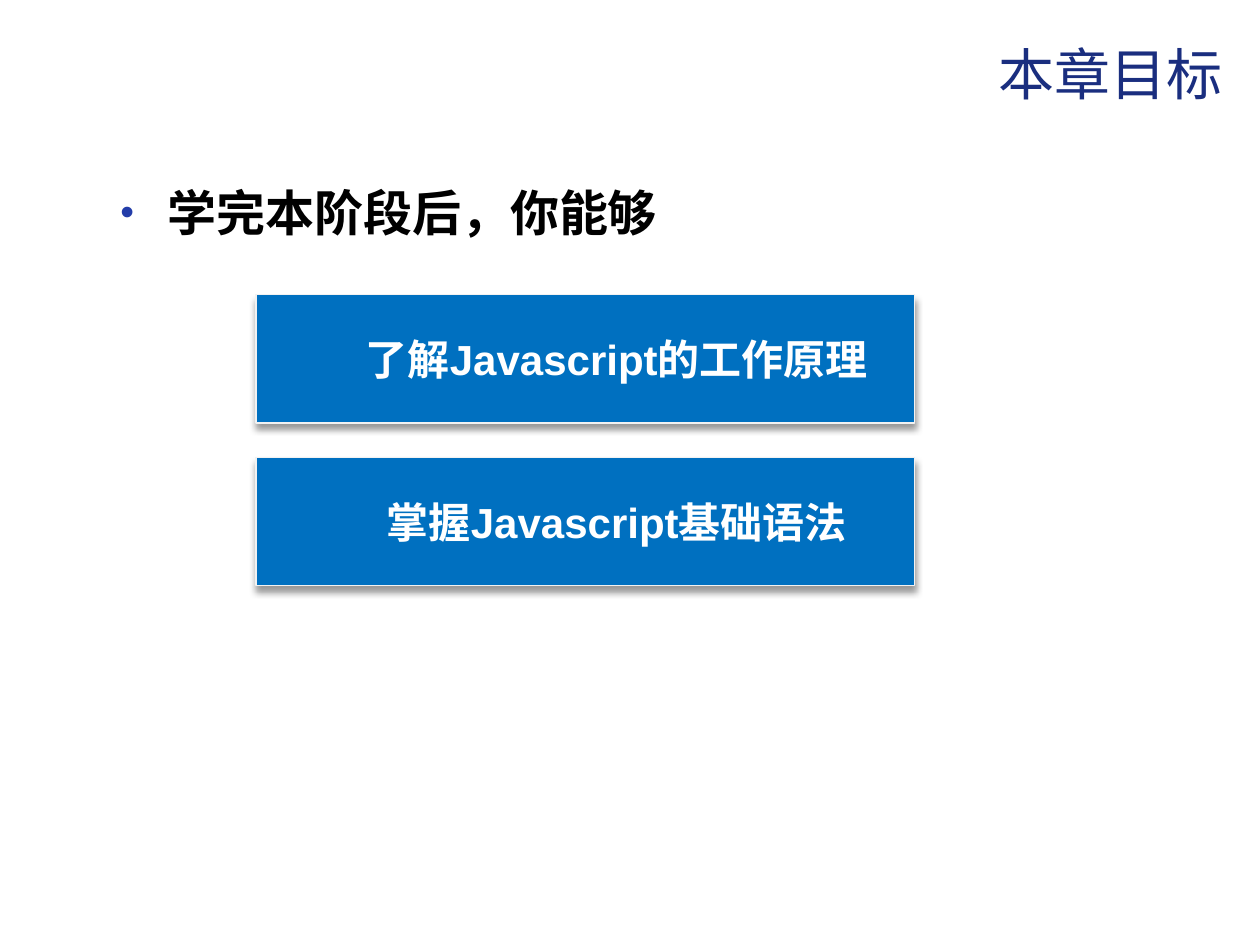
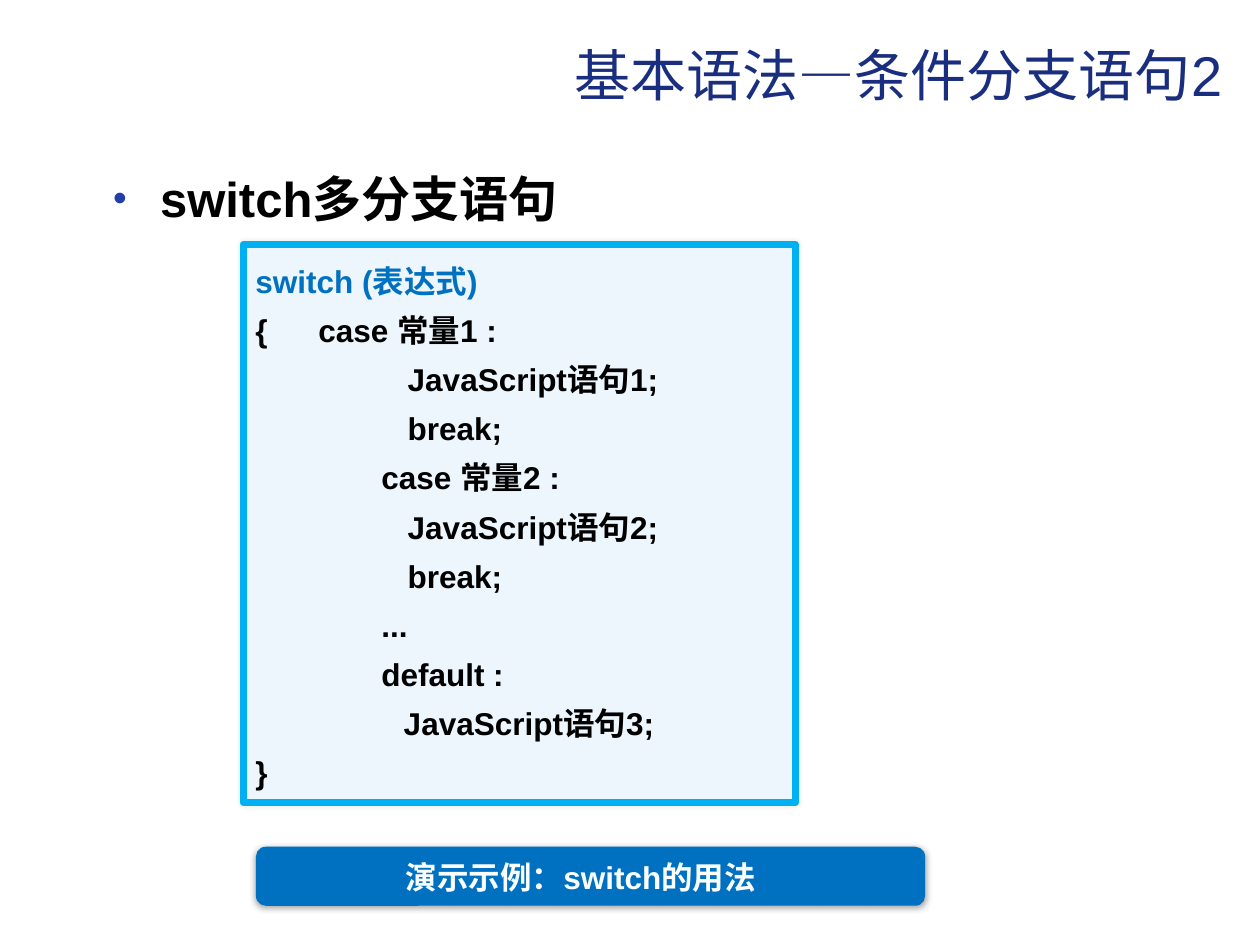
from dataclasses import dataclass
from typing import Optional

from lxml.etree import SubElement
from pptx import Presentation
from pptx.dml.color import RGBColor
from pptx.enum.shapes import MSO_SHAPE as SHAPE
from pptx.enum.text import MSO_ANCHOR as ANCHOR, PP_ALIGN as ALIGN
from pptx.oxml.ns import qn
from pptx.util import Cm, Pt

# Shared style
FONT = "Arial"
NAVY = RGBColor(0x1A, 0x2E, 0x7F)
BULLET = RGBColor(0x23, 0x3D, 0xA9)
BLUE = RGBColor(0x00, 0x70, 0xC0)
CYAN = RGBColor(0x00, 0xB0, 0xF0)
PALE = RGBColor(0xED, 0xF5, 0xFD)
LIGHT = RGBColor(0xF2, 0xF2, 0xF2)
DARK = RGBColor(0x26, 0x26, 0x26)
BLACK = RGBColor(0x00, 0x00, 0x00)
WHITE = RGBColor(0xFF, 0xFF, 0xFF)
DEMO_TEXT = RGBColor(0xFB, 0xFF, 0xFE)


@dataclass(frozen=True)
class Box:
    """Position and size in centimetres."""
    x: float
    y: float
    w: float
    h: float

    def lengths(self) -> tuple:
        return Cm(self.x), Cm(self.y), Cm(self.w), Cm(self.h)


@dataclass(frozen=True)
class Shadow:
    color: RGBColor
    alpha: int
    blur: float
    dist: float = 0
    angle: int = 0


@dataclass(frozen=True)
class Panel:
    kind: SHAPE
    fill: RGBColor
    shadow: Shadow
    line: Optional[RGBColor] = None
    line_width: float = 0


@dataclass(frozen=True)
class CodeLine:
    text: str
    indent: float = 0
    color: RGBColor = BLACK


GOAL = Panel(SHAPE.RECTANGLE, BLUE, Shadow(BLACK, 40, 4, 3, 90), LIGHT, 0.75)
CODE = Panel(SHAPE.ROUNDED_RECTANGLE, PALE, Shadow(BLACK, 10, 3), CYAN, 4)
DEMO = Panel(SHAPE.FLOWCHART_ALTERNATE_PROCESS, BLUE, Shadow(DARK, 43, 4, 1, 90))

GOALS = ("了解Javascript的工作原理", "掌握Javascript基础语法")
GOAL_TOP, GOAL_STEP = 5.94, 3.28

CASE, BODY, BRACE_TAB = 2.54, 3.07, 1.83
SWITCH_CODE = (
    CodeLine("switch (表达式)", color=BLUE),
    CodeLine("{\tcase 常量1 :"),
    CodeLine("JavaScript语句1;", BODY),
    CodeLine("break;", BODY),
    CodeLine("case 常量2 :", CASE),
    CodeLine("JavaScript语句2;", BODY),
    CodeLine("break;", BODY),
    CodeLine("...", CASE),
    CodeLine("default :", CASE),
    CodeLine("JavaScript语句3;", BODY - 0.08),
    CodeLine("}"),
)


def add_run(p, text: str, size: float, color: RGBColor, bold: bool = True) -> None:
    r = p.add_run()
    r.text = text
    r.font.name, r.font.size, r.font.bold = FONT, Pt(size), bold
    r.font.color.rgb = color


def set_indent(p, left: float, first: float = 0):
    pPr = p._p.get_or_add_pPr()
    pPr.set("marL", str(Cm(left)))
    pPr.set("indent", str(Cm(first)))
    return pPr


def add_text(shapes, box: Box, anchor: ANCHOR = ANCHOR.TOP):
    tf = shapes.add_textbox(*box.lengths()).text_frame
    tf.word_wrap = True
    tf.vertical_anchor = anchor
    return tf.paragraphs[0]


def add_title(s, text: str, top: float, anchor: ANCHOR) -> None:
    p = add_text(s.shapes, Box(2.03, top, 22.86, 2.49), anchor)
    p.alignment = ALIGN.RIGHT
    add_run(p, text, 32, NAVY, bold=False)


def add_bullet(s, text: str, box: Box) -> None:
    p = add_text(s.shapes, box)
    p.space_before = Pt(5.6)
    pPr = set_indent(p, 0.95, -0.95)
    color = SubElement(pPr, qn("a:buClr"))
    SubElement(color, qn("a:srgbClr"), val=str(BULLET))
    SubElement(pPr, qn("a:buSzPct"), val="80000")
    SubElement(pPr, qn("a:buFont"), typeface=FONT)
    SubElement(pPr, qn("a:buChar"), char="•")
    add_run(p, text, 28, BLACK)


def add_panel(shapes, panel: Panel, box: Box):
    sp = shapes.add_shape(panel.kind, *box.lengths())
    sp.fill.solid()
    sp.fill.fore_color.rgb = panel.fill
    if panel.line is None:
        sp.line.fill.background()
    else:
        sp.line.color.rgb = panel.line
        sp.line.width = Pt(panel.line_width)
    # Outer shadow
    sp.shadow.inherit = False
    effects = sp._element.spPr.find(qn("a:effectLst"))
    shade = panel.shadow
    outer = SubElement(effects, qn("a:outerShdw"), blurRad=str(Pt(shade.blur)),
                       dist=str(Pt(shade.dist)), dir=str(shade.angle * 60000),
                       algn="ctr", rotWithShape="0")
    color = SubElement(outer, qn("a:srgbClr"), val=str(shade.color))
    SubElement(color, qn("a:alpha"), val=str(shade.alpha * 1000))
    sp.text_frame.word_wrap = True
    return sp


def add_goal(s, text: str, top: float) -> None:
    sp = add_panel(s.shapes, GOAL, Box(5.16, top, 13.28, 2.59))
    sp.text_frame.vertical_anchor = ANCHOR.MIDDLE
    p = sp.text_frame.paragraphs[0]
    p.alignment = ALIGN.CENTER
    p.space_before = Pt(4.8)
    set_indent(p, 2.06, -0.79)
    add_run(p, text, 24, WHITE)


def add_code(s, lines: tuple, box: Box) -> None:
    sp = add_panel(s.shapes, CODE, box)
    sp.adjustments[0] = 0
    tf = sp.text_frame
    tf.vertical_anchor = ANCHOR.TOP
    for i, line in enumerate(lines):
        p = tf.add_paragraph() if i else tf.paragraphs[0]
        p.alignment = ALIGN.LEFT
        p.line_spacing = 1.3
        pPr = set_indent(p, line.indent)
        if "\t" in line.text:
            tabs = SubElement(pPr, qn("a:tabLst"))
            SubElement(tabs, qn("a:tab"), pos=str(Cm(BRACE_TAB)), algn="l")
        add_run(p, line.text, 18, line.color)


def add_demo(s, text: str) -> None:
    group = s.shapes.add_group_shape()
    add_panel(group.shapes, DEMO, Box(5.16, 17.07, 13.49, 1.19))
    p = add_text(group.shapes, Box(7.14, 17.17, 9.14, 1.02))
    p.alignment = ALIGN.CENTER
    add_run(p, text, 18, DEMO_TEXT)


def main() -> None:
    prs = Presentation()
    prs.slide_width, prs.slide_height = Cm(25.4), Cm(19.05)
    blank = prs.slide_layouts[6]

    # Chapter goals
    s = prs.slides.add_slide(blank)
    add_bullet(s, "学完本阶段后，你能够", Box(2.18, 3.56, 21.23, 2.21))
    add_title(s, "本章目标", 0.23, ANCHOR.MIDDLE)
    for i, goal in enumerate(GOALS):
        add_goal(s, goal, GOAL_TOP + i * GOAL_STEP)

    # Switch statement
    s = prs.slides.add_slide(blank)
    add_title(s, "基本语法—条件分支语句2", 0.69, ANCHOR.TOP)
    add_bullet(s, "switch多分支语句", Box(2.03, 3.28, 22.61, 8.05))
    add_code(s, SWITCH_CODE, Box(4.9, 4.93, 11.13, 11.25))
    add_demo(s, "演示示例：switch的用法")

    prs.save("out.pptx")


if __name__ == "__main__":
    main()
